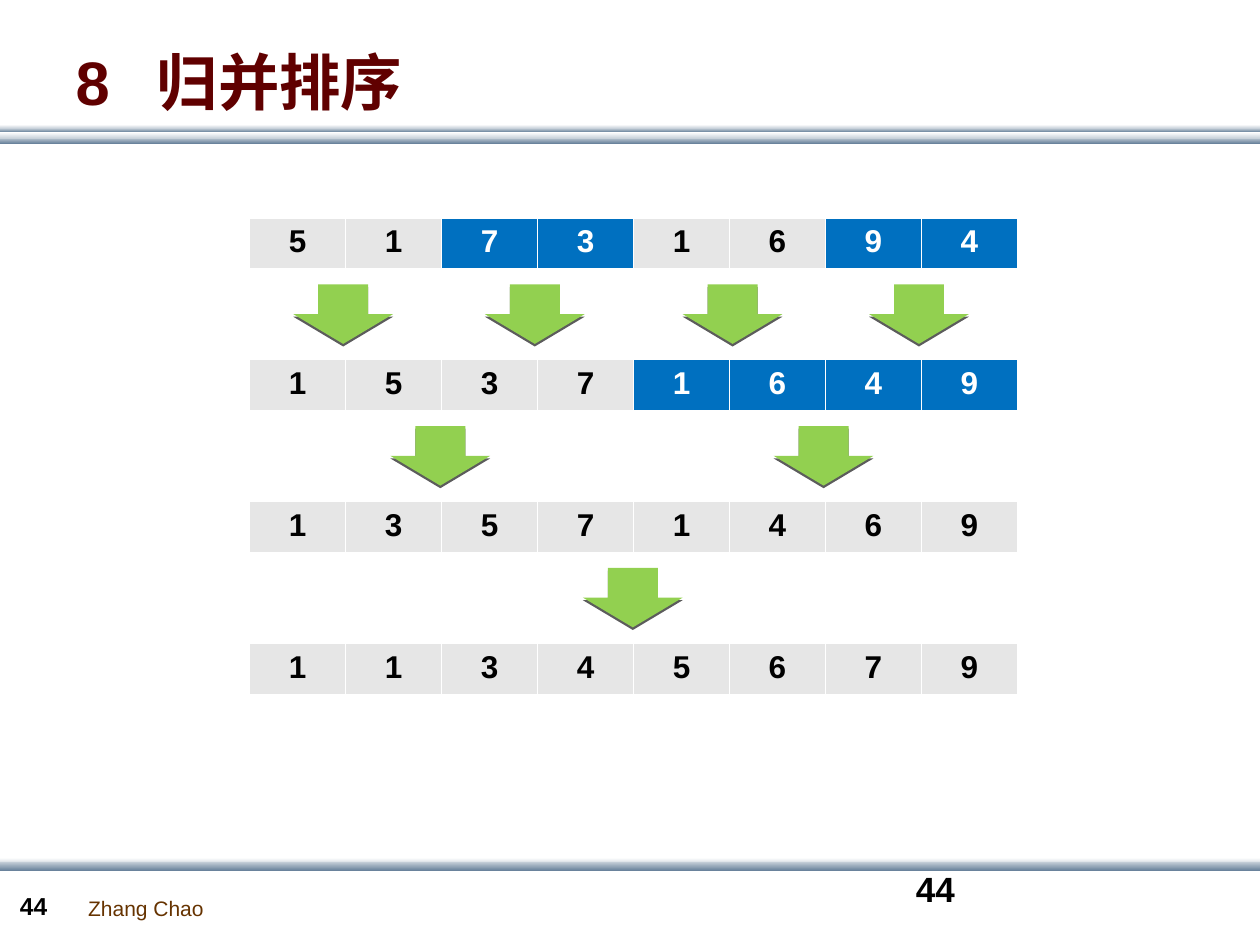
from dataclasses import dataclass

from lxml.etree import SubElement
from pptx import Presentation
from pptx.dml.color import RGBColor
from pptx.enum.shapes import MSO_SHAPE as Shape
from pptx.enum.text import MSO_ANCHOR as Anchor, PP_ALIGN as Align
from pptx.oxml.ns import qn
from pptx.util import Pt


@dataclass(frozen=True)
class Theme:
    font: str = "Arial"
    title: str = "600000"
    author: str = "663300"
    dark: str = "000000"
    light: str = "FFFFFF"
    plain_cell: str = "E6E6E6"
    marked_cell: str = "0070C0"
    arrow: str = "92D050"
    band_pale: str = "C8D1DA"
    band_deep: str = "6A839C"
    title_size: float = 35.1
    page_size: float = 20
    cell_size: float = 18
    number_size: float = 14
    author_size: float = 12


THEME = Theme()
SLIDE_WIDTH, SLIDE_HEIGHT = 720, 540
ROW_PITCH, ROW_HEIGHT = 81, 29.5
ARROW_LENGTH, ARROW_SPAN = 34, 57
ARROW_DROP = 55  # from the top of a row to the middle of its arrows

# Values, length of each sorted run, arrow centres from the left of the row
MERGE_STEPS = [
    ("51731694", 2, (53.5, 163, 276, 382.5)),
    ("15371649", 4, (109, 328)),
    ("13571469", 8, (219,)),
    ("11345679", 8, ()),
]

# Top, height, upper colour, lower colour
PALE_BAND = (THEME.light, THEME.band_pale)
DEEP_BAND = (THEME.band_pale, THEME.band_deep)
BANDS = [
    (78.5, 3.6, DEEP_BAND),
    (73.4, 2.2, DEEP_BAND),
    (75.6, 3.6, PALE_BAND),
    (71.3, 2.2, PALE_BAND),
    (490.3, 3.6, PALE_BAND),
    (492.5, 5, DEEP_BAND),
]


def rgb(value):
    return RGBColor.from_string(value)


def write(text_frame, text, size, color=THEME.dark, bold=True,
          align=Align.LEFT, tab=None):
    """Put one formatted paragraph in a text frame, with an optional tab stop."""
    paragraph = text_frame.paragraphs[0]
    paragraph.text = text
    paragraph.alignment = align
    if tab is not None:
        tabs = SubElement(paragraph._p.get_or_add_pPr(), qn("a:tabLst"))
        SubElement(tabs, qn("a:tab"), pos=str(Pt(tab)), algn="l")
    font = paragraph.runs[0].font
    font.name, font.size, font.bold = THEME.font, Pt(size), bold
    font.color.rgb = rgb(color)


def add_bands(slide, left, width):
    for top, height, colors in BANDS:
        band = slide.shapes.add_shape(
            Shape.RECTANGLE, Pt(left), Pt(top), Pt(width), Pt(height))
        band.shadow.inherit = False
        band.line.fill.background()
        band.fill.gradient()
        band.fill.gradient_angle = 270
        for stop, color in zip(band.fill.gradient_stops, colors):
            stop.color.rgb = rgb(color)


def add_title(slide, left, top, width, height):
    title = slide.shapes.title
    title.left, title.top = Pt(left), Pt(top)
    title.width, title.height = Pt(width), Pt(height)
    title.text_frame.vertical_anchor = Anchor.MIDDLE
    write(title.text_frame, "8\t归并排序", THEME.title_size, THEME.title, tab=46.5)


def add_label(slide, left, top, width, height, text, size, **text_format):
    box = slide.shapes.add_textbox(Pt(left), Pt(top), Pt(width), Pt(height))
    box.text_frame.word_wrap = True
    write(box.text_frame, text, size, **text_format)


def add_footer(slide, left, top):
    add_label(slide, left + 39, top + 16, 90, 22, "Zhang Chao",
              THEME.author_size, color=THEME.author, bold=False)
    add_label(slide, left, top + 13.5, 40, 24.5, "44", THEME.number_size)
    add_label(slide, left + 512, top, 168, 36, "44", THEME.page_size)


def set_borders(cell):
    properties = cell._tc.get_or_add_tcPr()
    for side, width in (("L", 0.45), ("R", 0.45), ("T", 0.45), ("B", 1.47)):
        line = SubElement(properties, qn(f"a:ln{side}"), w=str(Pt(width)))
        fill = SubElement(line, qn("a:solidFill"))
        SubElement(fill, qn("a:srgbClr"), val=THEME.light)


def add_number_row(slide, left, top, width, height, values, run_length):
    """Add one table row in which every second run is marked."""
    table = slide.shapes.add_table(
        1, len(values), Pt(left), Pt(top), Pt(width), Pt(height)).table
    table.first_row = table.horz_banding = False
    for column, value in enumerate(values):
        marked = column // run_length % 2 == 1
        cell = table.cell(0, column)
        set_borders(cell)
        cell.fill.solid()
        cell.fill.fore_color.rgb = rgb(
            THEME.marked_cell if marked else THEME.plain_cell)
        write(cell.text_frame, value, THEME.cell_size, align=Align.CENTER,
              color=THEME.light if marked else THEME.dark)


def add_merge_arrow(slide, center_x, center_y):
    arrow = slide.shapes.add_shape(
        Shape.RIGHT_ARROW, Pt(center_x - ARROW_LENGTH / 2),
        Pt(center_y - ARROW_SPAN / 2), Pt(ARROW_LENGTH), Pt(ARROW_SPAN))
    arrow.rotation = 90
    arrow.fill.solid()
    arrow.fill.fore_color.rgb = rgb(THEME.arrow)
    arrow.line.fill.background()
    arrow.shadow.inherit = False
    effects = arrow.element.spPr.find(qn("a:effectLst"))
    shadow = SubElement(effects, qn("a:outerShdw"), dist=str(Pt(1.5)),
                        dir="5400000", rotWithShape="0")
    color = SubElement(shadow, qn("a:srgbClr"), val=THEME.dark)
    SubElement(color, qn("a:alpha"), val="63000")


def add_merge_diagram(slide, left, top, width):
    for step, (values, run_length, centers) in enumerate(MERGE_STEPS):
        row_top = top + step * ROW_PITCH
        add_number_row(slide, left, row_top, width, ROW_HEIGHT,
                       values, run_length)
        for center in centers:
            add_merge_arrow(slide, left + center, row_top + ARROW_DROP)


def main():
    presentation = Presentation()
    presentation.slide_width = Pt(SLIDE_WIDTH)
    presentation.slide_height = Pt(SLIDE_HEIGHT)
    slide = presentation.slides.add_slide(presentation.slide_layouts[5])
    add_bands(slide, 0, SLIDE_WIDTH)
    add_footer(slide, 4.3, 492)
    add_merge_diagram(slide, 142.6, 124.5, 439)
    add_title(slide, 36, 21.6, 648, 49.7)
    presentation.save("out.pptx")


if __name__ == "__main__":
    main()
